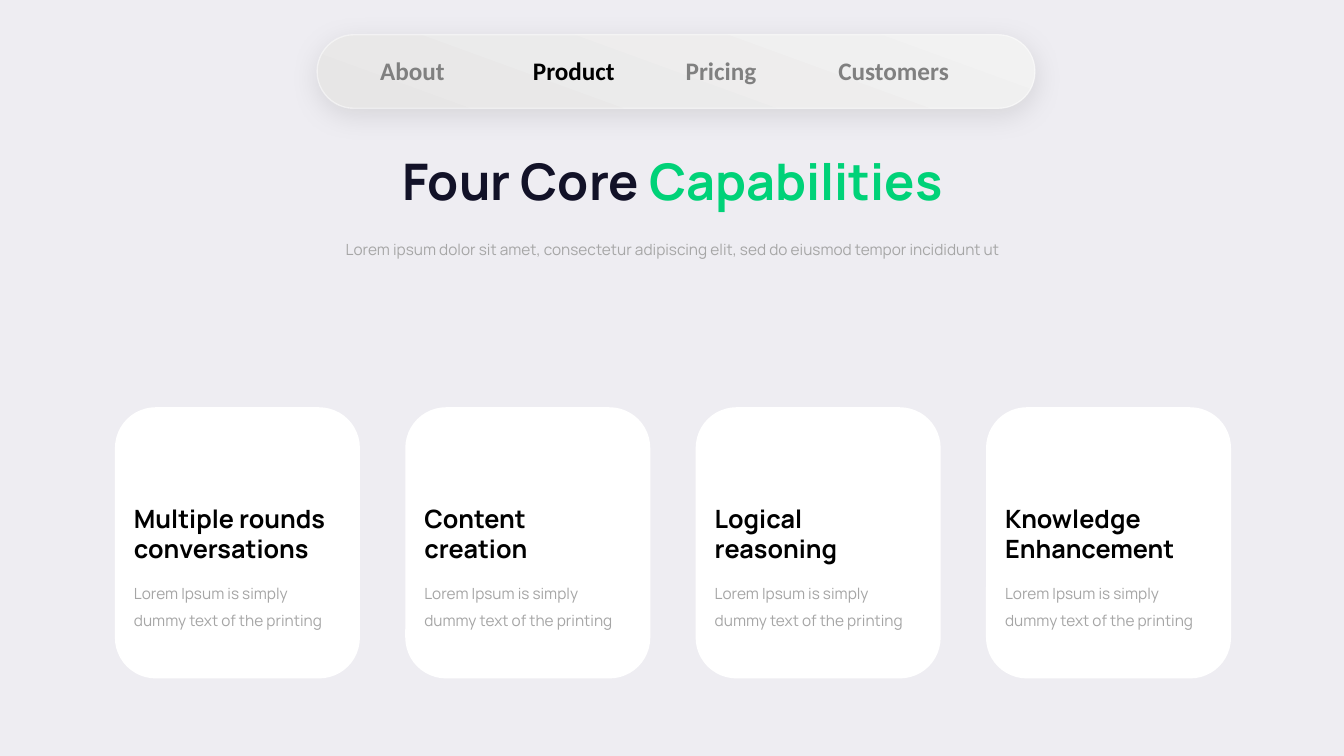
"""Build the slide "Four Core Capabilities"."""
from lxml import etree
from pptx import Presentation
from pptx.dml.color import RGBColor
from pptx.enum.shapes import MSO_SHAPE
from pptx.enum.text import MSO_ANCHOR, MSO_AUTO_SIZE, PP_ALIGN
from pptx.oxml import parse_xml
from pptx.oxml.ns import nsdecls, qn
from pptx.util import Inches, Pt

ROUNDED = MSO_SHAPE.ROUNDED_RECTANGLE
CENTER, LEFT = PP_ALIGN.CENTER, PP_ALIGN.LEFT
TOP = MSO_ANCHOR.TOP
GROW = MSO_AUTO_SIZE.SHAPE_TO_FIT_TEXT
TITLE_ONLY = 5
PLAIN_TABLE_STYLE = "{2D5ABB26-0587-4C30-8999-92F81FD0307C}"
HEADING_FONT, MENU_FONT = "Manrope", "Calibri"

COLORS = {
    "background": "EEEDF2",
    "white": "FFFFFF",
    "black": "000000",
    "navy": "121228",
    "green": "00D278",
    "card_text": "A5A5A5",
    "subtitle": "A6A6A6",
    "menu": "808080",
    "pill_start": "E7E6E6",
    "pill_end": "F2F2F2",
}

MENU = ["About", "Product", "Pricing", "Customers"]
ACTIVE_MENU = "Product"
CAPABILITIES = [
    "Multiple rounds conversations",
    "Content creation",
    "Logical reasoning",
    "Knowledge Enhancement",
]
CARD_TEXT = "Lorem Ipsum is simply dummy text of the printing"
SUBTITLE = ("Lorem ipsum dolor sit amet, consectetur adipiscing elit, "
            "sed do eiusmod tempor incididunt ut")
CARD_LEFT, CARD_PITCH = 1.14, 2.88


def rgb(name):
    """Return the named colour."""
    return RGBColor.from_string(COLORS[name])


def write_text(frame, runs, size, font=HEADING_FONT, bold=False, align=LEFT,
               line_spacing=None, space_after=None):
    """Write (text, colour) runs as one formatted paragraph."""
    frame.word_wrap = True
    paragraph = frame.paragraphs[0]
    paragraph.alignment = align
    if line_spacing:
        paragraph.line_spacing = line_spacing
    if space_after:
        paragraph.space_after = Pt(space_after)
    for text, color in runs:
        run = paragraph.add_run()
        run.text = text
        run.font.name = font
        run.font.size = Pt(size)
        run.font.bold = bold
        run.font.color.rgb = rgb(color)


def add_text(shapes, box, runs, size, **text_format):
    """Add a text box that grows with its text."""
    text_box = shapes.add_textbox(*map(Inches, box))
    write_text(text_box.text_frame, runs, size, **text_format)
    text_box.text_frame.auto_size = GROW


def add_card(slide, left, heading):
    """Add one grouped capability card."""
    shapes = slide.shapes.add_group_shape().shapes
    card = shapes.add_shape(ROUNDED, *map(Inches, (left, 4.04, 2.43, 2.69)))
    card.shadow.inherit = False
    card.fill.solid()
    card.fill.fore_color.rgb = rgb("white")
    card.line.fill.background()
    add_text(shapes, (left + 0.09, 4.94, 2.25, 0.71), [(heading, "black")],
             18, bold=True)
    add_text(shapes, (left + 0.09, 5.65, 2.25, 0.63),
             [(CARD_TEXT, "card_text")], 11, line_spacing=1.5, space_after=12)


def add_menu_pill(slide):
    """Add the rounded menu bar with its gradient and soft shadow."""
    pill = slide.shapes.add_shape(
        ROUNDED, *map(Inches, (6.34, -2.85, 0.73, 7.12)))
    pill.rotation = 90
    pill.adjustments[0] = 0.5
    pill.fill.gradient()
    pill.fill.gradient_angle = 160
    for stop, color in zip(pill.fill.gradient_stops, ("pill_start", "pill_end")):
        stop.color.rgb = rgb(color)
    pill.line.width = Pt(1)
    pill.line.color.rgb = rgb("white")
    line_color = pill.line._ln.find(".//" + qn("a:srgbClr"))
    etree.SubElement(line_color, qn("a:alpha"), val="50000")
    pill.shadow.inherit = False
    pill._element.spPr.find(qn("a:effectLst")).append(parse_xml(
        f'<a:outerShdw {nsdecls("a")} blurRad="{Pt(20)}" dist="{Pt(5)}" '
        f'dir="5400000" algn="t" rotWithShape="0">'
        f'<a:srgbClr val="{COLORS["black"]}"><a:alpha val="10000"/>'
        f'</a:srgbClr></a:outerShdw>'))


def add_menu(slide):
    """Add the menu entries as a one-row table."""
    frame = slide.shapes.add_table(
        1, len(MENU), *map(Inches, (3.67, 0.51, 6.06, 0.41)))
    table = frame.table
    table.first_row = table.horz_banding = False
    table._tbl.tblPr.find(qn("a:tableStyleId")).text = PLAIN_TABLE_STYLE
    for cell, label in zip(table.rows[0].cells, MENU):
        cell.fill.background()
        color = "black" if label == ACTIVE_MENU else "menu"
        write_text(cell.text_frame, [(label, color)], 18, font=MENU_FONT,
                   bold=True)


def set_title(slide):
    """Place and fill the title placeholder."""
    title = slide.shapes.title
    title.left, title.top, title.width, title.height = map(
        Inches, (3.08, 1.44, 7.18, 0.71))
    write_text(title.text_frame,
               [("Four Core ", "navy"), ("Capabilities", "green")],
               36, bold=True, align=CENTER)
    title.text_frame.vertical_anchor = TOP
    title.text_frame.auto_size = GROW


def main():
    """Build and save the presentation."""
    presentation = Presentation()
    presentation.slide_width = Inches(13.33)
    presentation.slide_height = Inches(7.5)
    slide = presentation.slides.add_slide(
        presentation.slide_layouts[TITLE_ONLY])
    slide.background.fill.solid()
    slide.background.fill.fore_color.rgb = rgb("background")
    for index, heading in enumerate(CAPABILITIES):
        add_card(slide, CARD_LEFT + index * CARD_PITCH, heading)
    add_menu_pill(slide)
    add_menu(slide)
    set_title(slide)
    add_text(slide.shapes, (1.84, 2.24, 9.67, 0.35), [(SUBTITLE, "subtitle")],
             11, align=CENTER, line_spacing=1.5)
    presentation.save("out.pptx")


if __name__ == "__main__":
    main()
